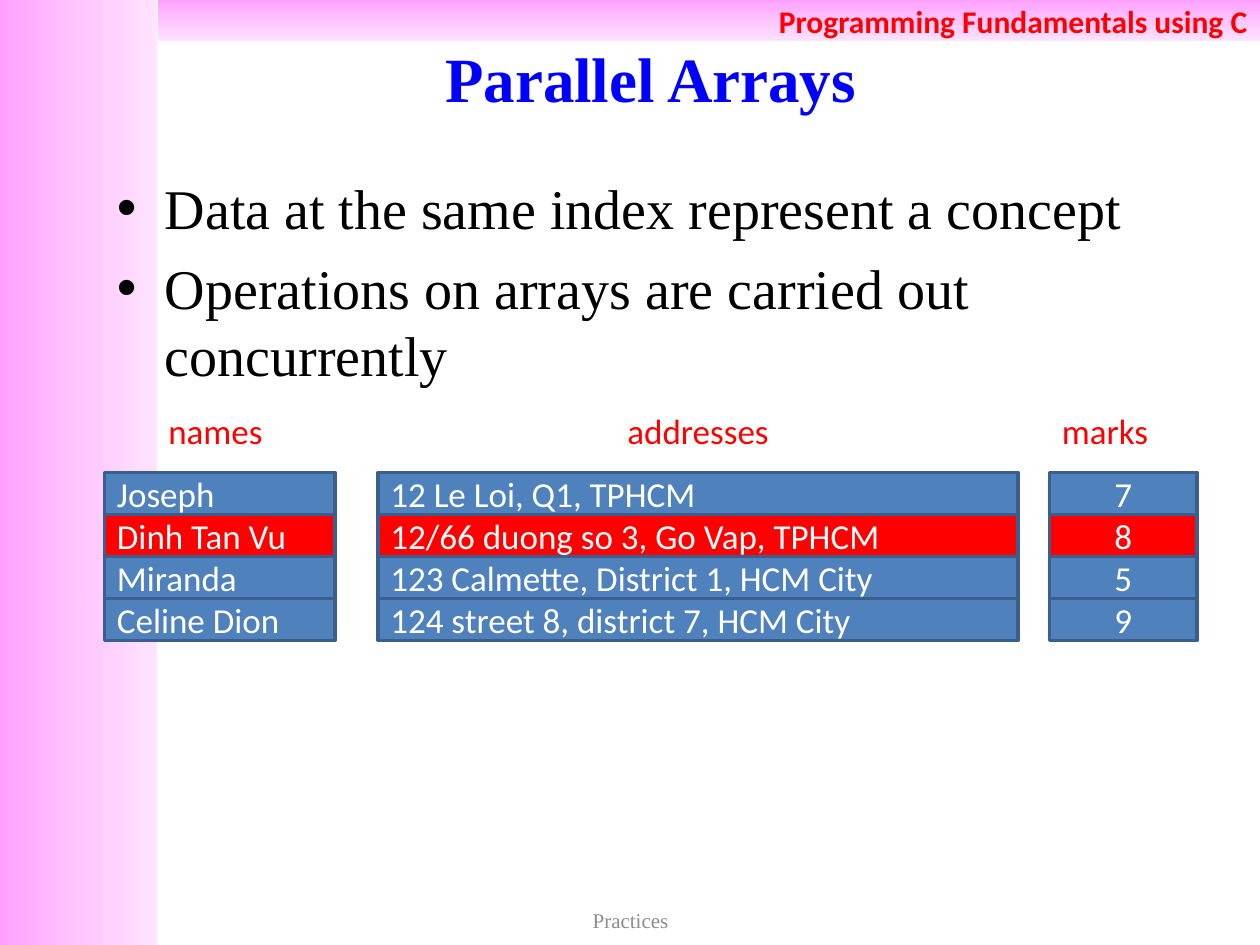
from copy import deepcopy

from lxml.etree import SubElement
from pptx import Presentation
from pptx.dml.color import RGBColor
from pptx.enum.shapes import MSO_SHAPE
from pptx.enum.text import MSO_ANCHOR, PP_ALIGN
from pptx.oxml.ns import qn
from pptx.util import Inches, Pt

RED = RGBColor(0xFF, 0x00, 0x00)
TITLE_BLUE = RGBColor(0x00, 0x00, 0xFF)
BLACK = RGBColor(0x00, 0x00, 0x00)
WHITE = RGBColor(0xFF, 0xFF, 0xFF)
GREY = RGBColor(0x8C, 0x8C, 0x8C)
CELL_BLUE = RGBColor(0x4F, 0x81, 0xBD)
CELL_LINE = RGBColor(0x3A, 0x5F, 0x8C)
PINKS = [RGBColor(0xFF, 0xA0, 0xFF), RGBColor(0xFF, 0xC5, 0xFF), RGBColor(0xFF, 0xE3, 0xFF)]

SERIF = "Times New Roman"
SANS = "Calibri"

ROW_HEIGHT = 1 / 3
FIRST_ROW_TOP = 3.75
HEADING_TOP = 3.25
HIGHLIGHTED_INDEX = 1

# Heading, heading left, width and alignment, then array left, width, alignment and values
ARRAYS = [
    ("names", 1.17, 1.08, PP_ALIGN.CENTER, 0.83, 1.83, PP_ALIGN.LEFT,
     ["Joseph", "Dinh Tan Vu", "Miranda", "Celine Dion"]),
    ("addresses", 3, 5.08, PP_ALIGN.CENTER, 3, 5.08, PP_ALIGN.LEFT,
     ["12 Le Loi, Q1, TPHCM", "12/66 duong so 3, Go Vap, TPHCM",
      "123 Calmette, District 1, HCM City", "124 street 8, district 7, HCM City"]),
    ("marks", 8.33, 1.17, PP_ALIGN.LEFT, 8.33, 1.17, PP_ALIGN.CENTER,
     ["7", "8", "5", "9"]),
]


def set_text(shape, text, size, font, color, align, bold=False, anchor=MSO_ANCHOR.MIDDLE):
    frame = shape.text_frame
    frame.text = text
    frame.word_wrap = True
    frame.vertical_anchor = anchor
    for para in frame.paragraphs:
        para.alignment = align
        for span in para.runs:
            span.font.size = Pt(size)
            span.font.name = font
            span.font.bold = bold
            span.font.color.rgb = color


def add_text(slide, left, top, width, height, *text_style, **options):
    box = slide.shapes.add_textbox(Inches(left), Inches(top), Inches(width), Inches(height))
    set_text(box, *text_style, **options)
    return box


def add_rectangle(slide, left, top, width, height):
    rectangle = slide.shapes.add_shape(
        MSO_SHAPE.RECTANGLE, Inches(left), Inches(top), Inches(width), Inches(height))
    rectangle.shadow.inherit = False
    return rectangle


def add_band(slide, left, top, width, height, angle):
    """Add a borderless band with the three-stop pink gradient."""
    band = add_rectangle(slide, left, top, width, height)
    band.line.fill.background()
    band.fill.gradient()
    band.fill.gradient_angle = angle
    stop_list = band._element.spPr.find(qn("a:gradFill")).find(qn("a:gsLst"))
    stop_list.insert(1, deepcopy(stop_list[0]))
    for stop, color, position in zip(band.fill.gradient_stops, PINKS, (0, 0.5, 1)):
        stop.color.rgb = color
        stop.position = position
    return band


def add_bullets(slide, left, top, width, height, lines):
    box = add_text(slide, left, top, width, height, "\n".join(lines), 32, SERIF, BLACK,
                   PP_ALIGN.LEFT, anchor=MSO_ANCHOR.TOP)
    for para in box.text_frame.paragraphs:
        para.space_before = Pt(7)
        properties = para._p.get_or_add_pPr()
        properties.set("marL", str(Inches(0.38)))
        properties.set("indent", str(-Inches(0.38)))
        SubElement(properties, qn("a:buFont"), typeface="Arial")
        SubElement(properties, qn("a:buChar"), char="•")


def add_array(slide, left, width, align, values):
    """Stack one cell per value, with the highlighted index in red."""
    for index, value in enumerate(values):
        cell = add_rectangle(slide, left, FIRST_ROW_TOP + index * ROW_HEIGHT, width, ROW_HEIGHT)
        cell.fill.solid()
        cell.fill.fore_color.rgb = RED if index == HIGHLIGHTED_INDEX else CELL_BLUE
        cell.line.color.rgb = CELL_LINE
        cell.line.width = Pt(2)
        set_text(cell, value, 20, SANS, WHITE, align)


def main():
    deck = Presentation()
    deck.slide_width = Inches(10)
    deck.slide_height = Inches(7.5)
    slide = deck.slides.add_slide(deck.slide_layouts[6])

    add_band(slide, 0, 0, 1.25, 7.5, angle=0)
    header = add_band(slide, 1.25, 0, 8.75, 0.33, angle=270)
    set_text(header, "Programming Fundamentals using C", 18, SANS, RED, PP_ALIGN.RIGHT, bold=True)

    add_text(slide, 0.83, 0.3, 8.67, 0.62, "Parallel Arrays", 36, SERIF, TITLE_BLUE,
             PP_ALIGN.CENTER, bold=True)
    add_bullets(slide, 0.83, 1.33, 8.67, 1.67, [
        "Data at the same index represent a concept",
        "Operations on arrays are carried out concurrently",
    ])
    add_text(slide, 3.42, 7.17, 3.17, 0.27, "Practices", 12, SERIF, GREY, PP_ALIGN.CENTER)

    for heading, heading_left, heading_width, heading_align, left, width, align, values in ARRAYS:
        add_array(slide, left, width, align, values)
        add_text(slide, heading_left, HEADING_TOP, heading_width, ROW_HEIGHT,
                 heading, 20, SANS, RED, heading_align)

    deck.save("out.pptx")


if __name__ == "__main__":
    main()
